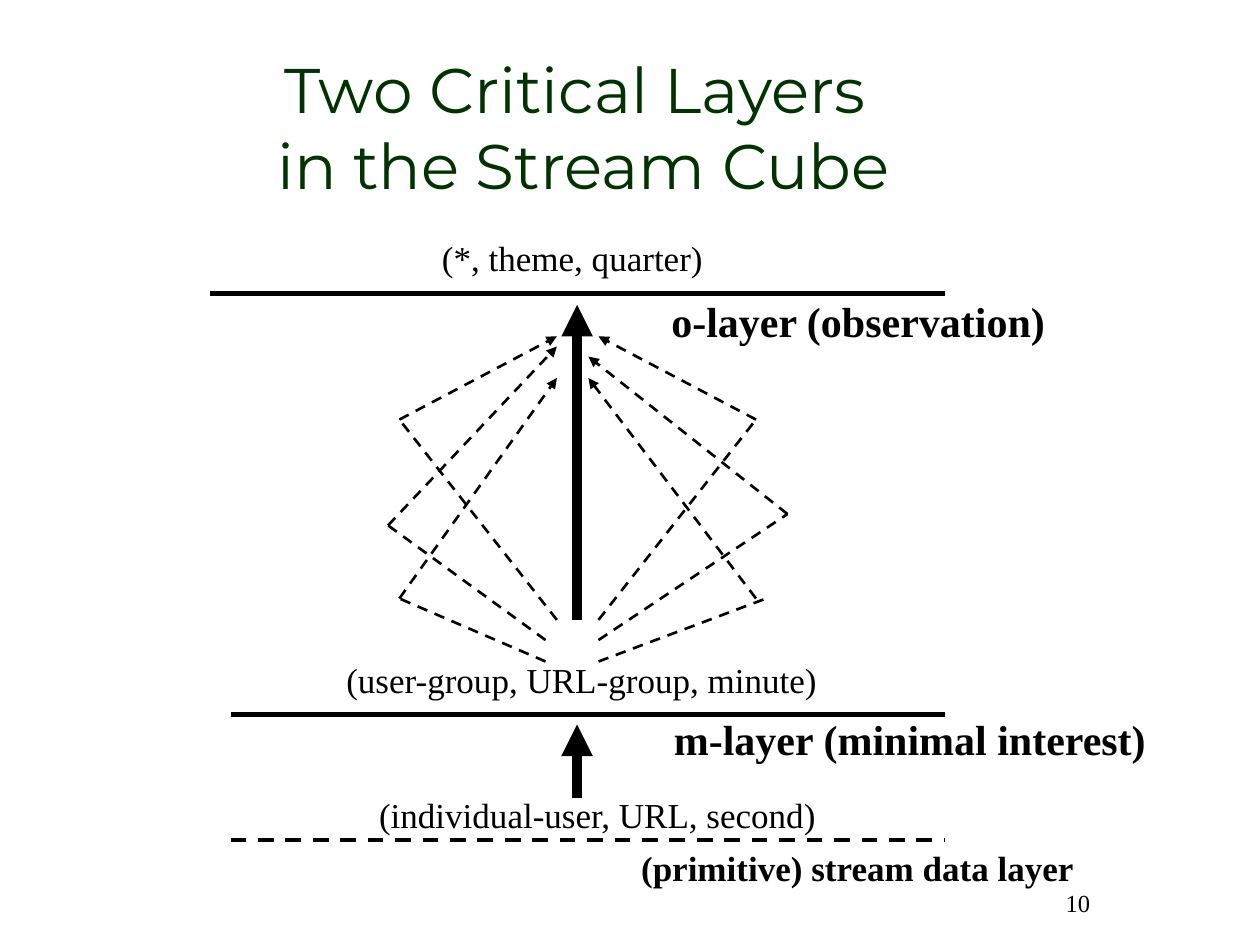
from typing import NamedTuple, Optional

import lxml.etree
import pptx
import pptx.dml.color
import pptx.enum.dml
import pptx.enum.shapes
import pptx.enum.text
import pptx.oxml.ns
import pptx.util

Inches = pptx.util.Inches
Align = pptx.enum.text.PP_ALIGN
Anchor = pptx.enum.text.MSO_ANCHOR
Point = tuple[float, float]


class Label(NamedTuple):
    text: str
    left: float
    top: float
    width: float
    height: float
    size: int = 20
    bold: bool = False
    font: str = "Times New Roman"
    color: str = "000000"
    align: Align = Align.LEFT
    anchor: Anchor = Anchor.TOP
    wrap: bool = False


class Stroke(NamedTuple):
    start: Point
    end: Point
    weight: float
    dashed: bool = False
    arrow: bool = False


class Route(NamedTuple):
    start: Point
    corner: Point
    tip: Point
    departure: Optional[Point] = None


LABELS = [
    Label("Two Critical Layers \vin the Stream Cube", 0.42, 0.42, 8.42, 1.17, 36,
          font="Montserrat", color="003300", align=Align.CENTER,
          anchor=Anchor.MIDDLE, wrap=True),
    Label("(*, theme, quarter)", 3.41, 1.83, 2.27, 0.44),
    Label("o-layer (observation)", 5.23, 2.3, 3.17, 0.5, 24, True),
    Label("(user-group, URL-group, minute)", 2.65, 5.18, 3.94, 0.44),
    Label("m-layer (minimal interest)", 5.25, 5.61, 3.96, 0.5, 24, True),
    Label("(individual-user, URL, second)", 2.91, 6.25, 3.68, 0.44),
    Label("(primitive) stream data layer", 4.99, 6.67, 3.64, 0.44, bold=True),
    Label("10", 7.08, 7, 1.67, 0.5, 14, align=Align.RIGHT, wrap=True),
]

LAYERS_AND_ROLLUPS = [
    Stroke((1.67, 2.33), (7.5, 2.33), 3),
    Stroke((1.83, 5.67), (7.5, 5.67), 3),
    Stroke((1.83, 6.67), (7.5, 6.67), 2.25, dashed=True),
    Stroke((4.58, 4.92), (4.58, 2.42), 6, arrow=True),
    Stroke((4.58, 6.33), (4.58, 5.75), 6, arrow=True),
]

DRILL_ROUTES = [
    Route((4.33, 5.25), (3.17, 4.75), (4.42, 3)),
    Route((4.33, 5.08), (3.08, 4.17), (4.42, 2.75)),
    Route((4.42, 4.92), (3.17, 3.33), (4.42, 2.67)),
    Route((4.75, 5.25), (6.08, 4.75), (4.67, 3), departure=(6, 4.75)),
    Route((4.75, 5.08), (6.25, 4.08), (4.67, 2.83)),
    Route((4.75, 4.92), (6, 3.33), (4.75, 2.67)),
]


def rgb(value: str) -> pptx.dml.color.RGBColor:
    return pptx.dml.color.RGBColor.from_string(value)


def draw_label(page, label: Label) -> None:
    box = page.shapes.add_textbox(Inches(label.left), Inches(label.top),
                                  Inches(label.width), Inches(label.height))
    frame = box.text_frame
    frame.text = label.text
    frame.word_wrap = label.wrap
    frame.vertical_anchor = label.anchor
    paragraph = frame.paragraphs[0]
    paragraph.alignment = label.align
    for span in paragraph.runs:
        span.font.name = label.font
        span.font.size = pptx.util.Pt(label.size)
        span.font.bold = label.bold
        span.font.color.rgb = rgb(label.color)


def draw_stroke(page, stroke: Stroke) -> None:
    connector = page.shapes.add_connector(
        pptx.enum.shapes.MSO_CONNECTOR.STRAIGHT,
        *(Inches(value) for value in stroke.start + stroke.end))
    line = connector.line
    line.color.rgb = rgb("000000")
    line.width = pptx.util.Pt(stroke.weight)
    if stroke.dashed:
        line.dash_style = pptx.enum.dml.MSO_LINE.DASH
    qualify = pptx.oxml.ns.qn
    properties = connector._element.spPr
    if stroke.arrow:
        outline = properties.find(qualify("a:ln"))
        lxml.etree.SubElement(outline, qualify("a:tailEnd"), type="triangle")
    lxml.etree.SubElement(properties, qualify("a:effectLst"))


def draw_route(page, route: Route) -> None:
    departure = route.departure or route.corner
    draw_stroke(page, Stroke(route.start, route.corner, 1.5, dashed=True))
    draw_stroke(page, Stroke(departure, route.tip, 1.5, dashed=True, arrow=True))


def main() -> None:
    deck = pptx.Presentation()
    deck.slide_width = Inches(10)
    deck.slide_height = Inches(7.5)
    page = deck.slides.add_slide(deck.slide_layouts[6])
    for stroke in LAYERS_AND_ROLLUPS:
        draw_stroke(page, stroke)
    for route in DRILL_ROUTES:
        draw_route(page, route)
    for label in LABELS:
        draw_label(page, label)
    deck.save("out.pptx")


if __name__ == "__main__":
    main()
